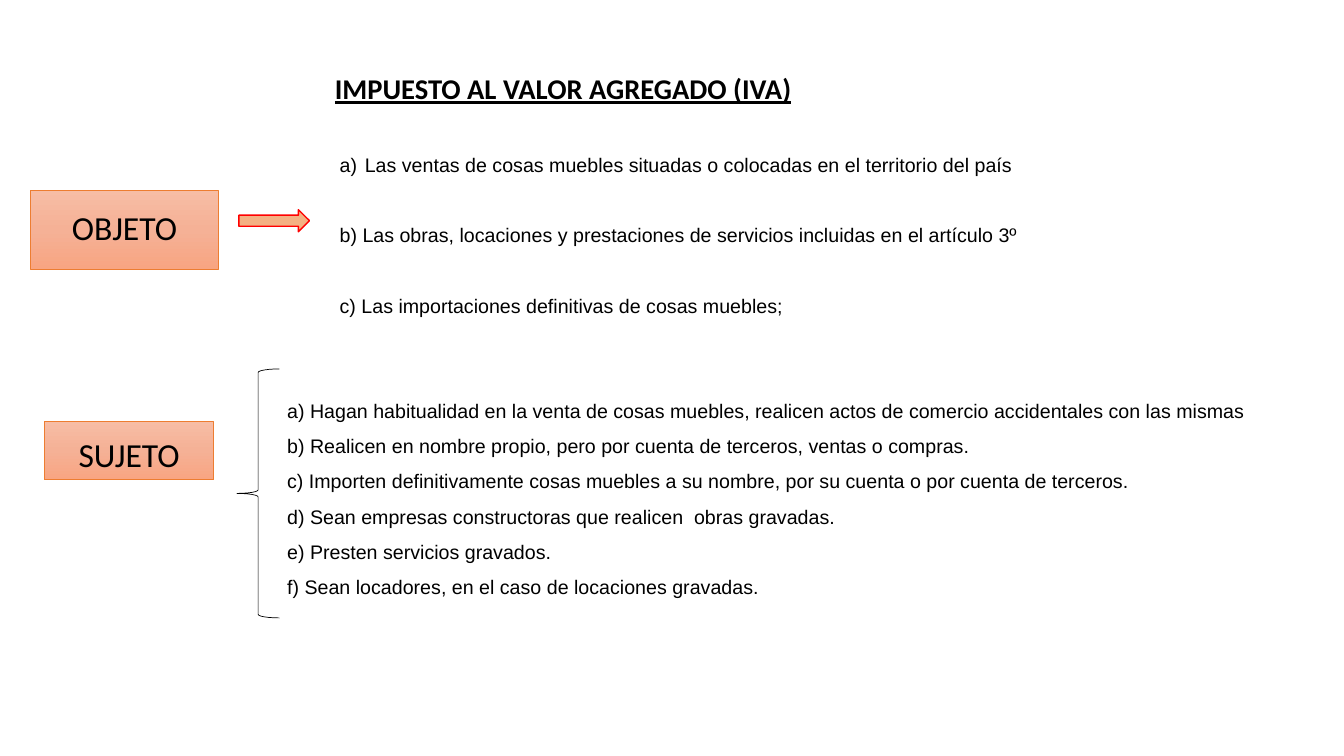
from copy import deepcopy
from lxml.etree import SubElement
from pptx import Presentation
from pptx.dml.color import RGBColor
from pptx.enum.shapes import MSO_SHAPE
from pptx.enum.text import MSO_ANCHOR, MSO_AUTO_SIZE, PP_ALIGN
from pptx.oxml.ns import qn
from pptx.util import Inches, Pt

OBJECTS = [
    "Las ventas de cosas muebles situadas o colocadas en el territorio del país",
    "b) Las obras, locaciones y prestaciones de servicios incluidas en el artículo 3º",
    "c) Las importaciones definitivas de cosas muebles;",
]
SUBJECTS = [
    "a) Hagan habitualidad en la venta de cosas muebles, realicen actos de comercio accidentales con las mismas",
    "b) Realicen en nombre propio, pero por cuenta de terceros, ventas o compras.",
    "c) Importen definitivamente cosas muebles a su nombre, por su cuenta o por cuenta de terceros.",
    "d) Sean empresas constructoras que realicen  obras gravadas.",
    "e) Presten servicios gravados.",
    "f) Sean locadores, en el caso de locaciones gravadas.",
]
SHADES = ["F7BDA5", "F5B196", "F8A582"]


def color(value):
    return RGBColor.from_string(value)


def number(par):
    props = par._p.get_or_add_pPr()
    props.set("marL", str(Inches(0.25)))
    props.set("indent", str(Inches(-0.25)))
    SubElement(props, qn("a:buFont"), typeface="Arial")
    SubElement(props, qn("a:buAutoNum"), type="alphaLcParenR")


def write(shape, lines, size=14, face="Arial", bold=False, under=False,
          align=PP_ALIGN.JUSTIFY, anchor=MSO_ANCHOR.MIDDLE, pitch=1.5,
          gap=0, auto=False):
    frame = shape.text_frame
    frame.word_wrap = True
    frame.auto_size = MSO_AUTO_SIZE.NONE
    frame.vertical_anchor = anchor
    for i, line in enumerate(lines):
        par = frame.add_paragraph() if i else frame.paragraphs[0]
        par.alignment = align
        par.line_spacing = pitch
        par.space_before = Pt(0)
        par.space_after = Pt(gap if i < len(lines) - 1 else 0)
        if auto and i == 0:
            number(par)
        run = par.add_run()
        run.text = line
        font = run.font
        font.size = Pt(size)
        font.name = face
        font.bold = bold
        font.underline = under
        font.color.rgb = color("000000")


def place(shape, box):
    shape.left, shape.top, shape.width, shape.height = map(Inches, box)


def draw(slide, kind, box, line, width, fill=None):
    shape = slide.shapes.add_shape(kind, *map(Inches, box))
    shape.shadow.inherit = False
    shape.line.color.rgb = color(line)
    shape.line.width = Pt(width)
    if fill:
        shape.fill.solid()
        shape.fill.fore_color.rgb = color(fill)
    else:
        shape.fill.background()
    return shape


def shade(shape):
    fill = shape.fill
    fill.gradient()
    fill.gradient_angle = 270
    first = fill.gradient_stops[0]._gs
    first.addnext(deepcopy(first))
    for i, (stop, value) in enumerate(zip(fill.gradient_stops, SHADES)):
        stop.position = i / 2
        stop.color.rgb = color(value)


def label(slide, text, box, anchor):
    shape = draw(slide, MSO_SHAPE.RECTANGLE, box, "ED7D31", 0.5)
    shade(shape)
    write(shape, [text], size=24, face="Calibri", align=PP_ALIGN.CENTER,
          anchor=anchor, pitch=0.9)


def listing(slide, lines, box, **style):
    write(slide.shapes.add_textbox(*map(Inches, box)), lines, **style)


def main():
    deck = Presentation()
    deck.slide_width = Inches(13.33)
    deck.slide_height = Inches(7.5)
    slide = deck.slides.add_slide(deck.slide_layouts[5])

    title = slide.shapes.title
    place(title, (3.22, 0.37, 5.63, 0.81))
    write(title, ["IMPUESTO AL VALOR AGREGADO (IVA)"], size=20.4,
          face="Calibri", bold=True, under=True, align=PP_ALIGN.LEFT, pitch=1.6)

    label(slide, "OBJETO", (0.3, 1.89, 1.87, 0.78), MSO_ANCHOR.MIDDLE)
    draw(slide, MSO_SHAPE.RIGHT_ARROW, (2.37, 2.08, 0.7, 0.22),
         "FF0000", 1, "F4B183")
    listing(slide, OBJECTS, (3.27, 1.35, 7.18, 2.22),
            anchor=MSO_ANCHOR.TOP, gap=25.2, auto=True)

    label(slide, "SUJETO", (0.44, 4.18, 1.68, 0.58), MSO_ANCHOR.BOTTOM)
    brace = draw(slide, MSO_SHAPE.RIGHT_BRACE, (2.35, 3.66, 0.42, 2.47),
                 "000000", 0.5)
    brace.rotation = 180
    listing(slide, SUBJECTS, (2.75, 3.78, 10.5, 2.22))

    deck.save("out.pptx")


if __name__ == "__main__":
    main()
